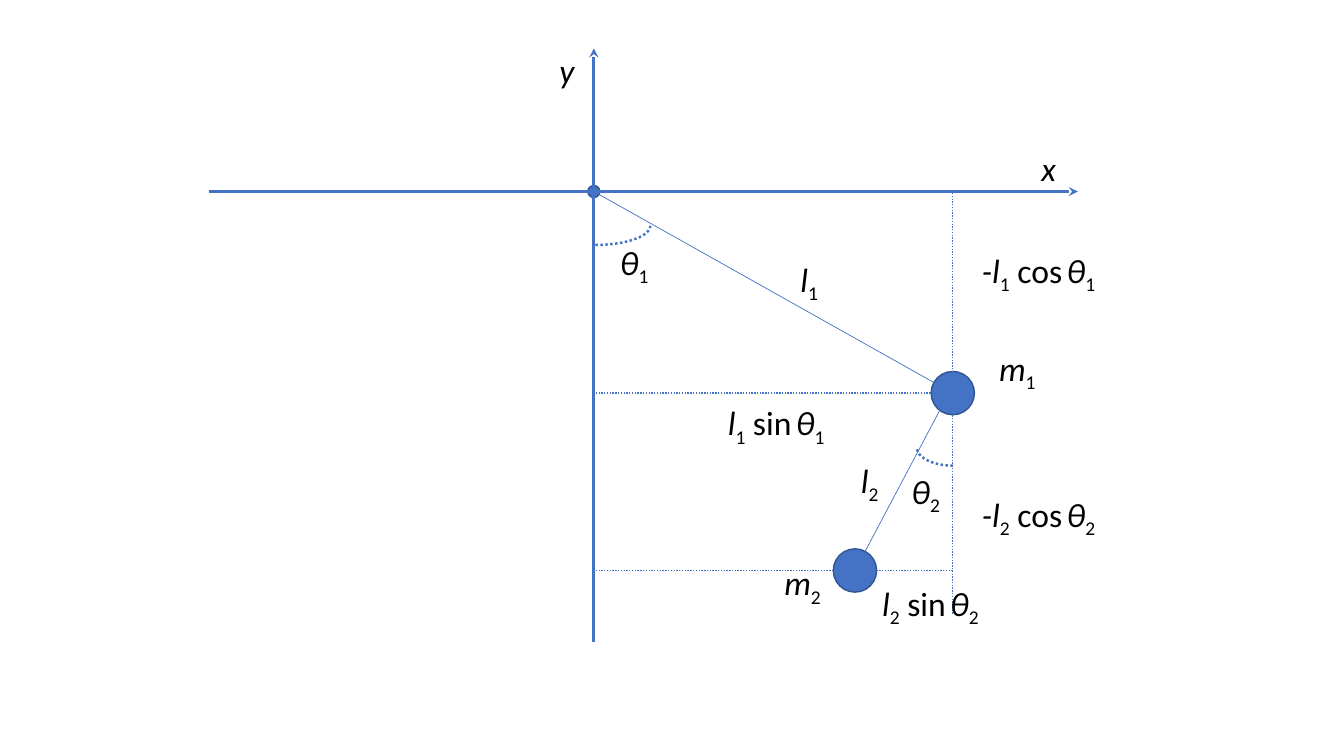
import pptx
import pptx.dml.color
import pptx.enum.dml
import pptx.enum.shapes
import pptx.enum.text
import pptx.oxml.ns
import pptx.util
from lxml import etree

# Content: positions in px, 100 px to the inch
PX = 9144
SLIDE_SIZE = (1333, 750)
BLUE, OUTLINE, BLACK = "4472C4", "325491", "000000"

ORIGIN = (589, 190)
MASS_1 = (945, 390)
MASS_2 = (848, 566)

DISCS = [(ORIGIN, 12), (MASS_1, 43), (MASS_2, 43)]  # centre, diameter

AXIS = {"width": 2.25, "arrow": True}
ROD = {"width": 0.5}
GUIDE = {"width": 1, "dotted": True}
LINES = [
    ((207, ORIGIN[1]), (1069, ORIGIN[1]), AXIS),
    ((ORIGIN[0], 637), (ORIGIN[0], 48), AXIS),
    (ORIGIN, MASS_1, ROD),
    ((939, 394), MASS_2, ROD),
    (MASS_1, (ORIGIN[0], MASS_1[1]), GUIDE),
    ((MASS_1[0], 609), (MASS_1[0], ORIGIN[1]), GUIDE),
    ((MASS_1[0], MASS_2[1]), (ORIGIN[0], MASS_2[1]), GUIDE),
]

# left, top, width, height, start and end angle in degrees
ANGLE_ARCS = [(536, 205, 109, 38, 0, 90), (909, 425, 72, 37, 90, 180)]

# left, top, width, symbol, index, function of the angle
LABELS = [
    (1023, 142, 35, "x", "", ""),
    (545, 45, 35, "y", "", ""),
    (605, 235, 49, "θ", "1", ""),
    (894, 462, 49, "θ", "2", ""),
    (784, 252, 39, "l", "1", ""),
    (844, 451, 39, "l", "2", ""),
    (981, 340, 58, "m", "1", ""),
    (768, 553, 58, "m", "2", ""),
    (712, 394, 119, "l", "1", "sin"),
    (865, 573, 119, "l", "2", "sin"),
    (964, 243, 135, "-l", "1", "cos"),
    (964, 485, 135, "-l", "2", "cos"),
]
LABEL_HEIGHT = 50


def px(*lengths):
    return [round(length * PX) for length in lengths]


def color(value):
    return pptx.dml.color.RGBColor.from_string(value)


def set_line(shape, width, line_color=BLUE, dotted=False, arrow=False):
    shape.line.color.rgb = color(line_color)
    shape.line.width = pptx.util.Pt(width)
    if dotted:
        shape.line.dash_style = pptx.enum.dml.MSO_LINE.ROUND_DOT
    if arrow:
        line = shape.line._get_or_add_ln()
        etree.SubElement(line, pptx.oxml.ns.qn("a:tailEnd"), type="stealth")


def add_line(shapes, start, end, style):
    connector = shapes.add_connector(
        pptx.enum.shapes.MSO_CONNECTOR.STRAIGHT, *px(*start, *end))
    set_line(connector, **style)
    properties = connector._element.spPr
    etree.SubElement(properties, pptx.oxml.ns.qn("a:effectLst"))


def add_disc(shapes, center, diameter):
    left, top = (position - diameter / 2 for position in center)
    disc = shapes.add_shape(pptx.enum.shapes.MSO_SHAPE.OVAL,
                            *px(left, top, diameter, diameter))
    disc.shadow.inherit = False
    disc.fill.solid()
    disc.fill.fore_color.rgb = color(BLUE)
    set_line(disc, 1, OUTLINE)


def add_arc(shapes, left, top, width, height, *angles):
    arc = shapes.add_shape(pptx.enum.shapes.MSO_SHAPE.ARC,
                           *px(left, top, width, height))
    arc.shadow.inherit = False
    arc.fill.background()
    for number, angle in enumerate(angles):
        arc.adjustments[number] = angle * 0.6  # 60000 units a degree
    set_line(arc, 1.75, dotted=True)


def label_runs(symbol, index, function):
    """Return (text, font size, italic, subscript) for each run."""
    runs = [(symbol, 24, True, False)]
    if index:
        runs.append((index, 24, False, True))
    if function:
        runs += [(" " + function, 24, False, False), (" ", 14, False, False)]
        runs += label_runs("θ", index, "")
    return runs


def add_label(shapes, left, top, width, *parts):
    box = shapes.add_textbox(*px(left, top, width, LABEL_HEIGHT))
    frame = box.text_frame
    frame.word_wrap = False
    frame.auto_size = pptx.enum.text.MSO_AUTO_SIZE.SHAPE_TO_FIT_TEXT
    for text, size, italic, subscript in label_runs(*parts):
        run = frame.paragraphs[0].add_run()
        run.text = text
        font_format = {"name": "Calibri", "size": pptx.util.Pt(size),
                       "italic": italic}
        for name, value in font_format.items():
            setattr(run.font, name, value)
        run.font.color.rgb = color(BLACK)
        if subscript:
            run._r.get_or_add_rPr().set("baseline", "-25000")


def main():
    presentation = pptx.Presentation()
    presentation.slide_width, presentation.slide_height = px(*SLIDE_SIZE)
    slide = presentation.slides.add_slide(presentation.slide_layouts[6])

    # Discs first, so that the lines run over them
    for add_part, items in ((add_disc, DISCS), (add_line, LINES),
                            (add_arc, ANGLE_ARCS), (add_label, LABELS)):
        for item in items:
            add_part(slide.shapes, *item)

    presentation.save("out.pptx")


if __name__ == "__main__":
    main()
